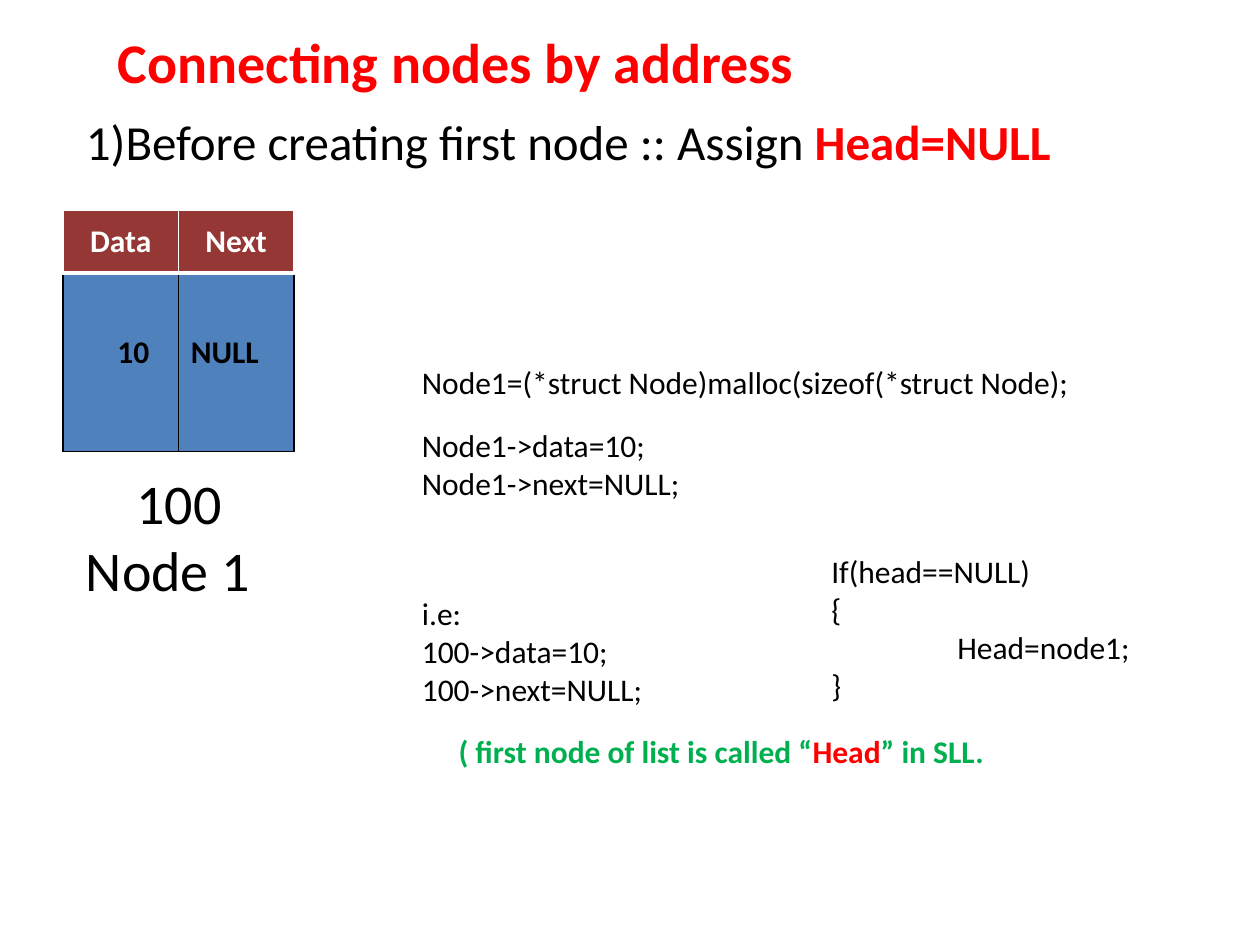
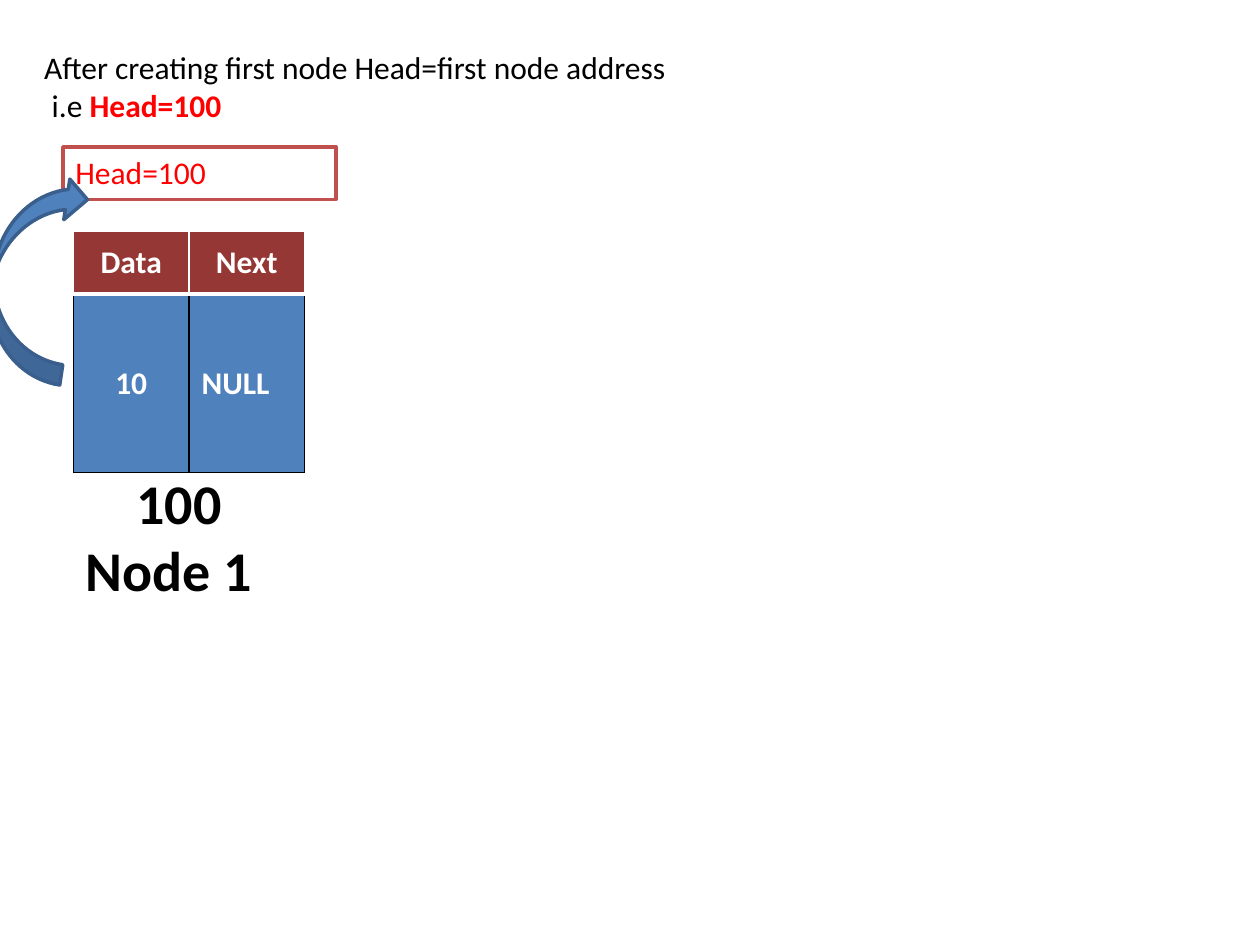
import pptx
import pptx.util
import pptx.dml.color
import pptx.enum.shapes
import pptx.enum.text
import pptx.oxml
import pptx.oxml.ns
import lxml.etree

COLORS = {
    "black": "000000", "white": "FFFFFF", "red": "FF0000", "green": "00B050",
    "header": "953735", "cell": "4F81BD", "frame": "C0504D", "arrow_edge": "3A5F8C",
}
FONT = "Calibri"
ANCHOR = pptx.enum.text.MSO_ANCHOR
ALIGN = pptx.enum.text.PP_ALIGN
SHAPE = pptx.enum.shapes.MSO_SHAPE

prs = pptx.Presentation()
prs.slide_width = pptx.util.Inches(10)
prs.slide_height = pptx.util.Inches(7.5)
COLUMNS, ROWS = 120, 90


def grid(x, y, w, h):
    cw, rh = prs.slide_width / COLUMNS, prs.slide_height / ROWS
    return [pptx.util.Emu(round(v)) for v in (x * cw, y * rh, w * cw, h * rh)]


def rgb(name):
    return pptx.dml.color.RGBColor.from_string(COLORS[name])


def write(tf, paragraphs, size=18, color="black", bold=False, align=ALIGN.LEFT, indents=()):
    for i, runs in enumerate(paragraphs):
        p = tf.paragraphs[0] if i == 0 else tf.add_paragraph()
        p.alignment = align
        if i in indents:
            pPr = p._p.get_or_add_pPr()
            pPr.set("marL", str(pptx.util.Inches(indents[i])))
            pPr.set("indent", "0")
        for run in [(runs, {})] if isinstance(runs, str) else runs:
            words, style = run
            r = p.add_run()
            r.text = words
            r.font.name = FONT
            r.font.size = pptx.util.Pt(size)
            r.font.bold = style.get("bold", bold)
            r.font.color.rgb = rgb(style.get("color", color))


def text(s, box, paragraphs, wrap=True, **style):
    tf = s.shapes.add_textbox(*grid(*box)).text_frame
    tf.word_wrap = wrap
    write(tf, paragraphs, **style)


def title(s, box, paragraphs, **style):
    sp = s.shapes.title
    sp.left, sp.top, sp.width, sp.height = grid(*box)
    tf = sp.text_frame
    tf.auto_size = pptx.enum.text.MSO_AUTO_SIZE.NONE
    tf.vertical_anchor = ANCHOR.TOP
    write(tf, paragraphs, **style)


def borders(cell, color, widths):
    tcPr = cell._tc.get_or_add_tcPr()
    for i, (side, width) in enumerate(zip("LRTB", widths)):
        ln = pptx.oxml.parse_xml(
            f'<a:ln{side} {pptx.oxml.ns.nsdecls("a")} w="{pptx.util.Pt(width)}">'
            f'<a:solidFill><a:srgbClr val="{COLORS[color]}"/></a:solidFill></a:ln{side}>')
        tcPr.insert(i, ln)


def row_table(s, box, values, fill, edge, widths, aligns):
    table = s.shapes.add_table(1, len(values), *grid(*box)).table
    table.first_row = table.horz_banding = False
    for cell, value, align in zip(table.rows[0].cells, values, aligns):
        cell.fill.solid()
        cell.fill.fore_color.rgb = rgb(fill)
        cell.vertical_anchor = ANCHOR.MIDDLE
        borders(cell, edge, widths)
        if value:
            write(cell.text_frame, [value], color="white", bold=True, align=align)


def node(s, box, values=("", "")):
    x, y, w, h = box
    head = 6
    row_table(s, (x, y + head, w, h - head), values, "cell", "black",
              (1, 1, 1, 1), (ALIGN.CENTER, ALIGN.LEFT))
    row_table(s, (x, y, w, head), ("Data", "Next"), "header", "white",
              (1, 1, 1, 3), (ALIGN.CENTER, ALIGN.CENTER))


def node_label(s, bold=False):
    text(s, (7, 44, 21, 14.2), ["100", "Node 1"], size=32, bold=bold, indents={0: 0.4})


def plain_shape(s, kind, box, fill, edge):
    sp = s.shapes.add_shape(kind, *grid(*box))
    sp.shadow.inherit = False
    sp.fill.solid()
    sp.fill.fore_color.rgb = rgb(fill)
    sp.line.color.rgb = rgb(edge)
    sp.line.width = pptx.util.Pt(2)
    return sp


def code_area(s, box):
    x, y = box[:2]
    text(s, (x, y, 64.7, 4.8), ["Node1=(*struct Node)malloc(sizeof(*struct Node);"], wrap=False)
    text(s, (x, y + 6, 60, 8.5), ["Node1->data=10;", "Node1->next=NULL;"])
    text(s, (x, y + 22, 35, 12.1), ["i.e:", "100->data=10;", "100->next=NULL;"])
    text(s, (x + 39, y + 18, 36, 15.7), ["If(head==NULL)", "{", "Head=node1;", "}"],
         indents={2: 1})
    text(s, (x + 3.5, y + 35.1, 53.5, 4.8),
         [[("( first node of list is called “", {}), ("Head", {"color": "red"}),
           ("” in SLL.", {})]], wrap=False, color="green", bold=True)


def before_slide():
    s = prs.slides.add_slide(prs.slide_layouts[5])
    title(s, (10, 2, 92, 7.7), ["Connecting nodes by address"], size=32, color="red", bold=True)
    text(s, (7, 10, 99, 6.8),
         [[("1)Before creating first node :: Assign ", {}),
           ("Head=NULL", {"color": "red", "bold": True})]], size=28)
    node(s, (6, 20, 22, 23))
    node_label(s)
    text(s, (10, 31, 6, 4.8), ["10"], bold=True)
    text(s, (17, 31, 10, 4.8), ["NULL"], bold=True)
    code_area(s, (39, 34, 75, 40))


def after_slide():
    s = prs.slides.add_slide(prs.slide_layouts[5])
    title(s, (3, 4, 68, 8.5),
          ["After creating first node Head=first node address",
           [("i.e ", {}), ("Head=100", {"color": "red", "bold": True})]], indents={1: 0.06})
    node(s, (7, 22, 22, 23), ("10", "NULL"))
    node_label(s, bold=True)
    sp = plain_shape(s, SHAPE.RECTANGLE, (6, 14, 26, 5), "white", "frame")
    sp.text_frame.vertical_anchor = ANCHOR.TOP
    write(sp.text_frame, ["Head=100"], color="red")
    arrow = plain_shape(s, SHAPE.CURVED_LEFT_ARROW, (-0.6, 16.4, 7.8, 19.8), "cell", "arrow_edge")
    arrow.rotation = 188.5


before_slide()
after_slide()
prs.save("out.pptx")
